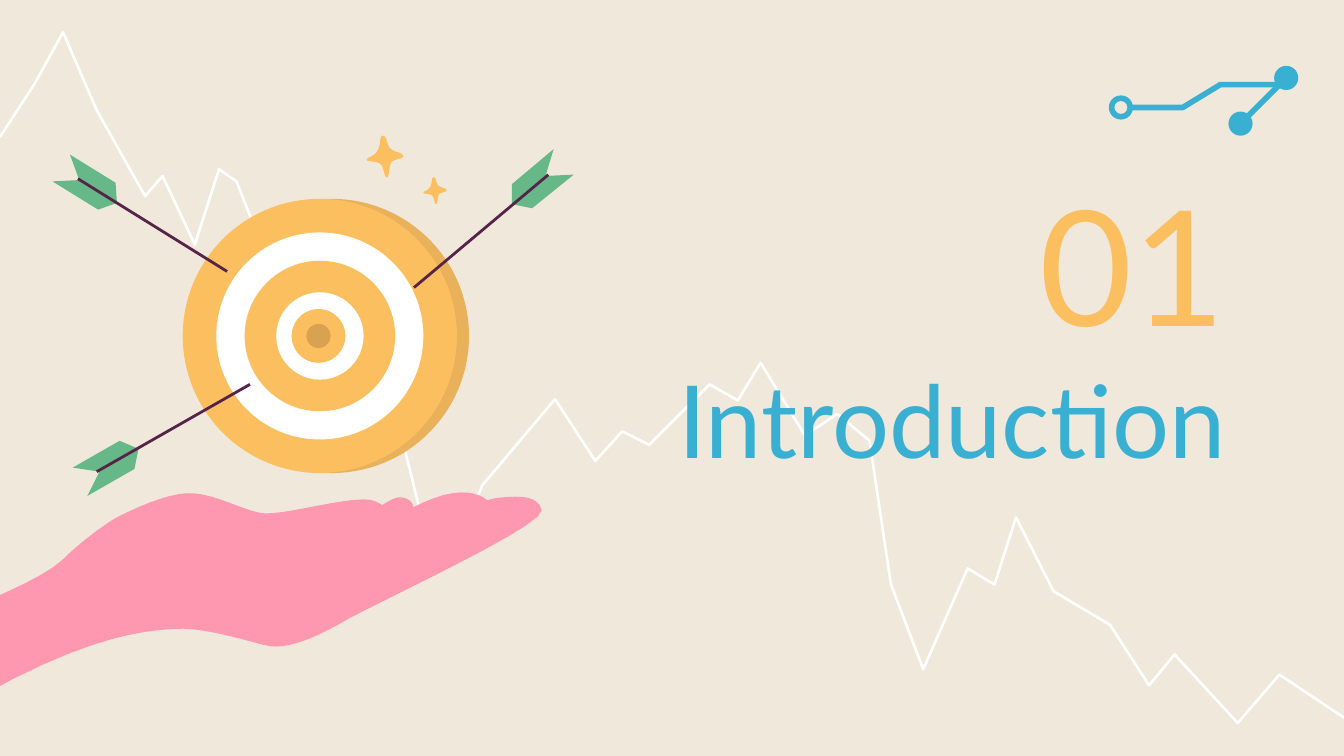
from lxml.etree import SubElement
from pptx import Presentation
from pptx.dml.color import RGBColor
from pptx.enum.shapes import MSO_CONNECTOR, MSO_SHAPE
from pptx.enum.text import MSO_ANCHOR, PP_ALIGN
from pptx.oxml.ns import qn
from pptx.util import Inches, Pt

THEME = {
    "cream": "F1E8DC", "white": "FFFFFF", "blue": "39B0D1", "gold": "FBBF60",
    "shade": "E8B15A", "coin": "D7A350", "green": "66B888", "plum": "562349",
    "pink": "FE98B0", "font": "Lato", "title_size": 54, "number_size": 86,
    "market_width": 1.4, "circuit_width": 3, "shaft_width": 1.5,
}

SLIDE_WIDTH = 10
SLIDE_HEIGHT = SLIDE_WIDTH * 9 / 16

TITLE = ("Introduction", (3.76, 2.57, 5.46, 1.09))
NUMBER = ("01", (5.61, 1.34, 3.61, 1.23))

MARKET = [
    (0, 1.02), (0.26, 0.62), (0.47, 0.24), (0.72, 0.82), (1.08, 1.46),
    (1.21, 1.31), (1.45, 1.82), (1.63, 1.26), (1.76, 1.35), (1.98, 1.91),
    (2.3, 2.25), (2.46, 2.9), (2.99, 3.25), (3.22, 4.19), (3.4, 4.06),
    (3.59, 3.61), (4.13, 2.97), (4.43, 3.43), (4.63, 3.21), (4.83, 3.31),
    (5.28, 2.86), (5.49, 2.98), (5.66, 2.7), (5.99, 3.24), (6.23, 3.08),
    (6.47, 3.28), (6.63, 4.35), (6.87, 4.98), (7.2, 4.23), (7.4, 4.35),
    (7.56, 3.85), (7.84, 4.4), (8.26, 4.65), (8.55, 5.1), (8.74, 4.87),
    (9.21, 5.38), (9.52, 5.02), (10, 5.34),
]

CIRCUIT_TRACE = [(9.52, 0.63), (9.08, 0.63), (8.8, 0.8), (8.4, 0.8)]
CIRCUIT_LINK = ((9.54, 0.61), (9.26, 0.89))
CIRCUIT_RING = (8.34, 0.8)
CIRCUIT_DOTS = [(9.23, 0.92), (9.57, 0.58)]
NODE_DIAMETER = 0.18

TARGET_RINGS = [
    (2.47, 2.04, "shade"), (2.38, 2.04, "gold"), (2.38, 1.54, "white"),
    (2.38, 1.12, "gold"), (2.38, 0.65, "white"), (2.37, 0.4, "gold"),
]
TARGET_Y = 2.5
COIN_MARK = (2.37, 0.18)

ARROWS = [
    {"feather": [(0.89, 3.28), (0.54, 3.48), (0.74, 3.51), (0.65, 3.69), (1, 3.49), (1.03, 3.34)],
     "shaft": ((0.72, 3.51), (1.86, 2.86))},
    {"feather": [(4.12, 1.11), (3.81, 1.37), (3.81, 1.52), (3.96, 1.55), (4.27, 1.3), (4.06, 1.31)],
     "shaft": ((4.08, 1.3), (3.08, 2.14))},
    {"feather": [(0.52, 1.15), (0.59, 1.34), (0.39, 1.35), (0.73, 1.56), (0.87, 1.51), (0.86, 1.36)],
     "shaft": ((0.58, 1.33), (1.69, 2.02))},
]

HAND_CURVES = [
    [(2.62, 3.95), (2.68, 3.88, 2.9, 3.69, 2.98, 3.7), (3.08, 3.71, 3.08, 3.78, 3.07, 3.8),
     (3.06, 3.82, 2.69, 4.11, 2.68, 4.09), (2.67, 4.07, 2.62, 3.95, 2.62, 3.95)],
    [(2.66, 4.03), (2.75, 3.95, 3.17, 3.69, 3.37, 3.67), (3.57, 3.64, 3.66, 3.74, 3.65, 3.77),
     (3.63, 3.79, 2.86, 4.19, 2.82, 4.19), (2.78, 4.18, 2.66, 4.03, 2.66, 4.03)],
    [(0.85, 3.86), (0.85, 3.86, 1.18, 3.68, 1.39, 3.67), (1.59, 3.66, 1.82, 3.81, 1.97, 3.82),
     (2.13, 3.83, 2.6, 3.69, 2.76, 3.72), (2.91, 3.76, 2.93, 3.87, 2.9, 3.95),
     (2.88, 4.03, 2.73, 4.09, 2.73, 4.09), (2.73, 4.09, 3.1, 3.94, 3.22, 3.89),
     (3.33, 3.84, 3.61, 3.7, 3.75, 3.7), (3.88, 3.69, 4.01, 3.69, 4.03, 3.8),
     (4.04, 3.91, 2.88, 4.45, 2.6, 4.6), (2.33, 4.76, 2.15, 4.82, 2.02, 4.81),
     (1.89, 4.79, 1.53, 4.66, 1.29, 4.68), (1.13, 4.69, 0.69, 4.71, -0.14, 5.18),
     (-0.16, 5.14, -0.42, 4.6, -0.42, 4.6), (-0.42, 4.6, 0.28, 4.34, 0.46, 4.17),
     (0.64, 3.99, 0.85, 3.86, 0.85, 3.86)],
]

SPARKLE_CURVE = [
    (0.12, 0), (0.09, 0, 0.11, 0.05, 0.08, 0.11), (0.05, 0.16, 0, 0.16, 0, 0.18),
    (0, 0.2, 0.08, 0.18, 0.11, 0.22), (0.13, 0.26, 0.13, 0.31, 0.15, 0.31),
    (0.17, 0.31, 0.16, 0.21, 0.19, 0.19), (0.23, 0.17, 0.27, 0.17, 0.27, 0.15),
    (0.26, 0.12, 0.19, 0.12, 0.17, 0.09), (0.15, 0.07, 0.15, 0, 0.12, 0),
]
SPARKLES = [(2.73, 1.01, 1), (3.15, 1.32, 0.64)]


def color(name):
    return RGBColor.from_string(THEME[name])


def paint(shape, fill=None, line=None, width=0):
    shape.shadow.inherit = False
    if fill:
        shape.fill.solid()
        shape.fill.fore_color.rgb = color(fill)
    else:
        shape.fill.background()
    if line:
        shape.line.color.rgb = color(line)
        shape.line.width = Pt(width)
    else:
        shape.line.fill.background()


def outline(shapes, points, closed=True, **style):
    start, *rest = [(Inches(x), Inches(y)) for x, y in points]
    builder = shapes.build_freeform(*start)
    builder.add_line_segments(rest, close=closed)
    paint(builder.convert_to_shape(), **style)


def sample(curve, steps=10):
    points = [curve[0]]
    for x1, y1, x2, y2, x3, y3 in curve[1:]:
        x0, y0 = points[-1]
        for step in range(1, steps + 1):
            t = step / steps
            a, b, c, d = (1 - t) ** 3, 3 * t * (1 - t) ** 2, 3 * t * t * (1 - t), t ** 3
            points.append((a * x0 + b * x1 + c * x2 + d * x3,
                           a * y0 + b * y1 + c * y2 + d * y3))
    return points


def disc(shapes, x, y, diameter, fill, preset=MSO_SHAPE.OVAL):
    corner = Inches(x - diameter / 2), Inches(y - diameter / 2)
    shape = shapes.add_shape(preset, *corner, Inches(diameter), Inches(diameter))
    paint(shape, fill)
    return shape


def straight(shapes, ends, line, width):
    (x1, y1), (x2, y2) = ends
    connector = shapes.add_connector(
        MSO_CONNECTOR.STRAIGHT, Inches(x1), Inches(y1), Inches(x2), Inches(y2))
    connector.line.color.rgb = color(line)
    connector.line.width = Pt(width)
    SubElement(connector._element.spPr, qn("a:effectLst"))


def heading(shape, content, size, ink):
    words, box = content
    shape.left, shape.top, shape.width, shape.height = map(Inches, box)
    frame = shape.text_frame
    frame.text = words
    frame.word_wrap = True
    frame.vertical_anchor = MSO_ANCHOR.MIDDLE
    frame.margin_left = frame.margin_right = Inches(0.1)
    frame.margin_top = frame.margin_bottom = Inches(0.1)
    paragraph = frame.paragraphs[0]
    paragraph.alignment = PP_ALIGN.RIGHT
    font = paragraph.runs[0].font
    font.name, font.size = THEME["font"], Pt(THEME[size])
    font.color.rgb = color(ink)


def main():
    deck = Presentation()
    deck.slide_width, deck.slide_height = Inches(SLIDE_WIDTH), Inches(SLIDE_HEIGHT)
    slide = deck.slides.add_slide(deck.slide_layouts[5])
    slide.background.fill.solid()
    slide.background.fill.fore_color.rgb = color("cream")
    shapes = slide.shapes

    outline(shapes, MARKET, closed=False, line="white", width=THEME["market_width"])

    outline(shapes, CIRCUIT_TRACE, closed=False, line="blue", width=THEME["circuit_width"])
    ring = disc(shapes, *CIRCUIT_RING, NODE_DIAMETER, "blue", MSO_SHAPE.DONUT)
    ring.adjustments[0] = 0.23
    for x, y in CIRCUIT_DOTS:
        disc(shapes, x, y, NODE_DIAMETER, "blue")
    straight(shapes, CIRCUIT_LINK, "blue", THEME["circuit_width"])

    title = shapes.title
    shapes._spTree.append(title._element)
    heading(title, TITLE, "title_size", "blue")
    heading(shapes.add_textbox(0, 0, 0, 0), NUMBER, "number_size", "gold")

    for x, diameter, fill in TARGET_RINGS:
        disc(shapes, x, TARGET_Y, diameter, fill)
    for arrow in ARROWS:
        outline(shapes, arrow["feather"], fill="green")
        straight(shapes, arrow["shaft"], "plum", THEME["shaft_width"])
    mark_x, mark_size = COIN_MARK
    disc(shapes, mark_x, TARGET_Y, mark_size, "coin")

    for curve in HAND_CURVES:
        outline(shapes, sample(curve), fill="pink")
    for left, top, scale in SPARKLES:
        star = [(left + x * scale, top + y * scale) for x, y in sample(SPARKLE_CURVE)]
        outline(shapes, star, fill="gold")

    deck.save("out.pptx")


if __name__ == "__main__":
    main()
